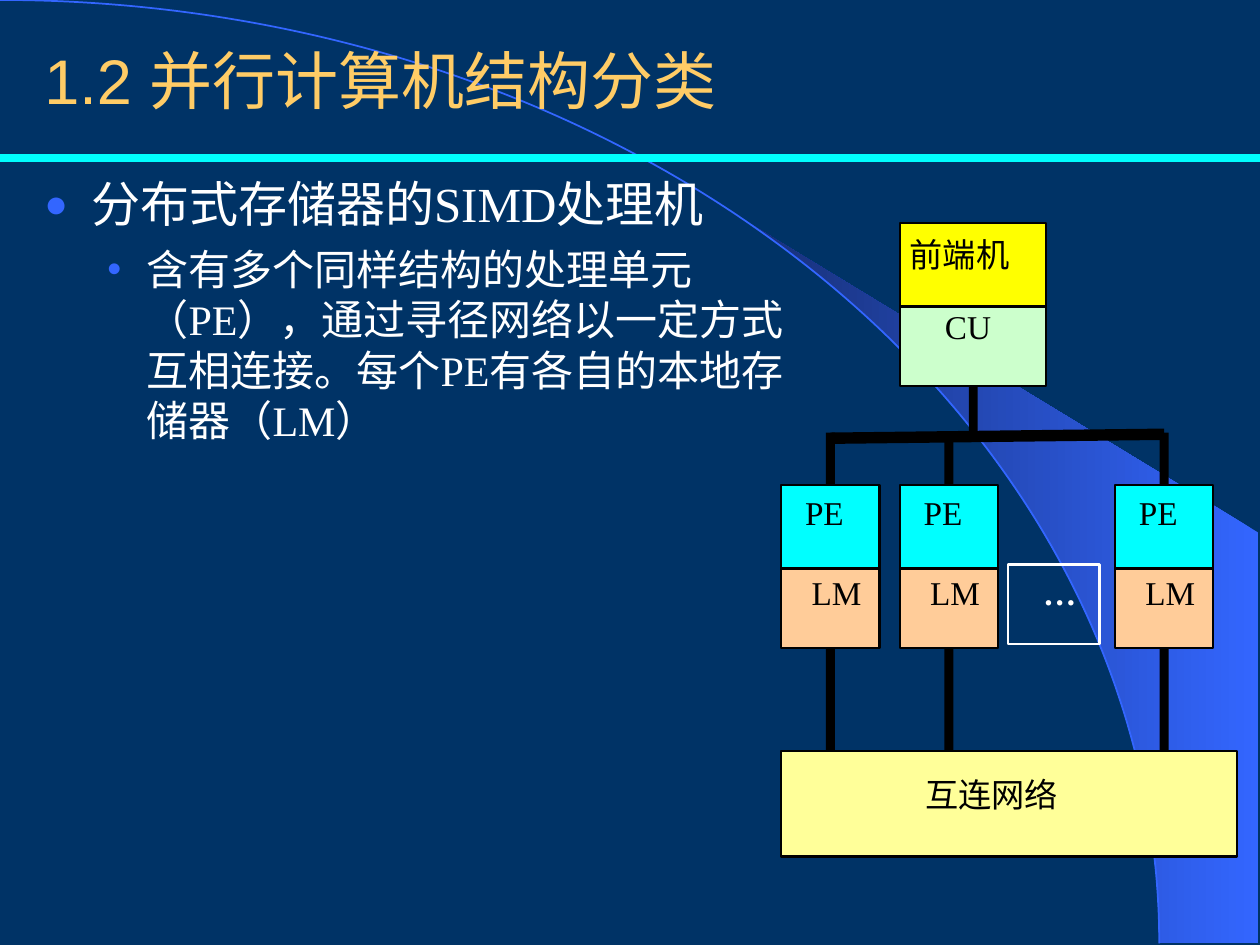
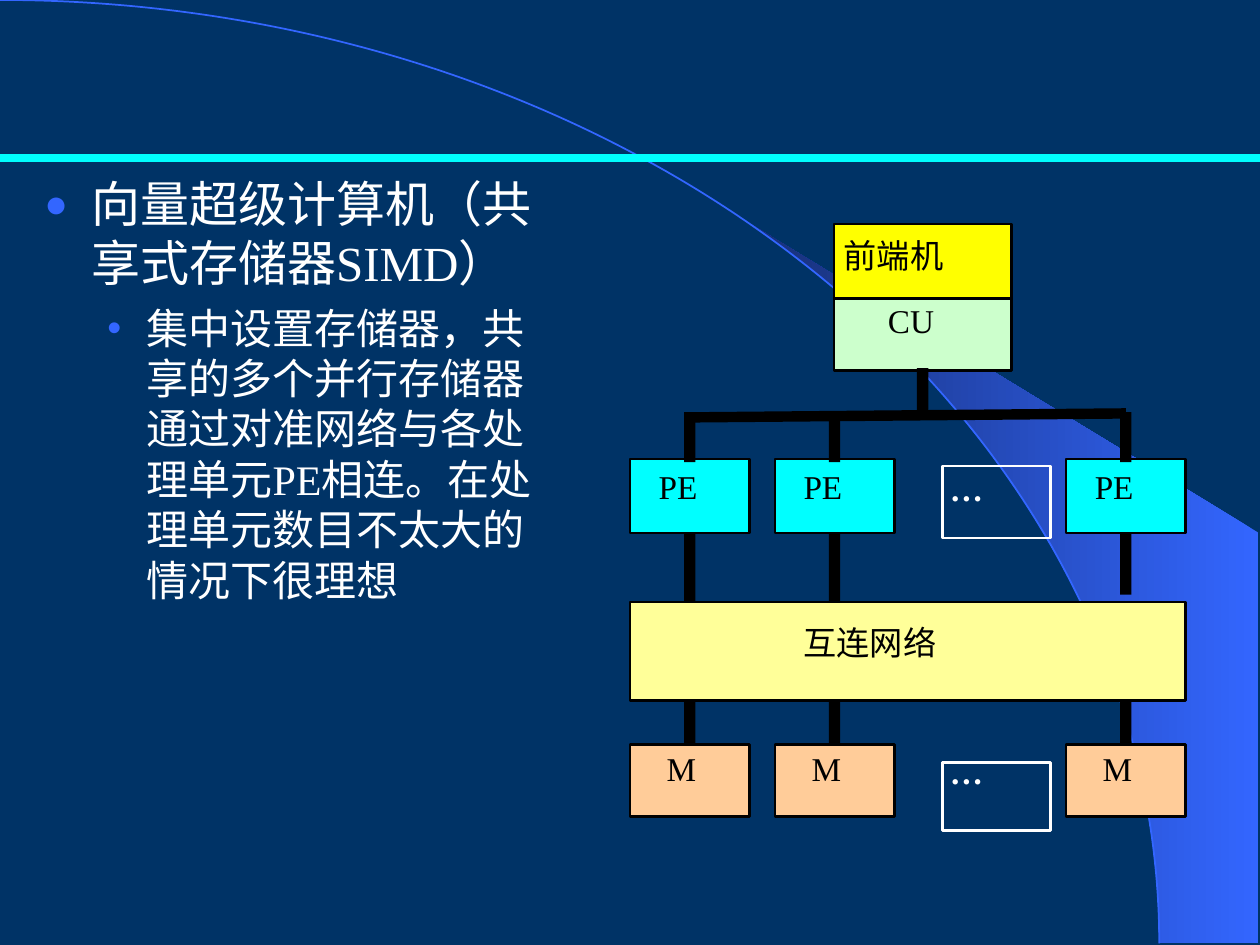
from dataclasses import dataclass
from math import cos, radians, sin

from lxml import etree
from pptx import Presentation
from pptx.dml import color
from pptx.enum import shapes, text
from pptx.oxml import ns
from pptx.util import Cm, Pt

# Shared look
NAVY, BLUE, DEEP_BLUE, CYAN = "003366", "3366FF", "172F75", "00FFFF"
GOLD, WHITE, BLACK = "FFCC66", "FFFFFF", "000000"
YELLOW, MINT, PEACH, CREAM = "FFFF00", "CCFFCC", "FFCC99", "FFFF99"
SANS, SERIF, CJK = "Arial", "Times New Roman", "Noto Sans CJK SC"
SLIDE_W, SLIDE_H = 25.4, 19.05
RULE_Y = 3.18
BORDER = 1.39
LABEL_WIDTHS = {"前端机": 2.1, "互连网络": 2.8, "CU": 0.94, "PE": 0.79,
                "LM": 1.02, "M": 0.61, "…": 0.68}
# Per level: size, space before, left margin, hanging indent, bullet, bullet percent
LEVELS = [(28, 0, 0.95, 0.95, "●", 80), (24, 6, 2.06, 0.79, "•", 95)]


def rgb(value):
    return color.RGBColor.from_string(value)


def write(para, words, size, font, ink, bold=False, east_font=CJK):
    span = para.add_run()
    span.text = words
    span.font.size, span.font.name, span.font.bold = Pt(size), font, bold
    span.font.color.rgb = rgb(ink)
    east_asian = etree.SubElement(span.font._element, ns.qn("a:ea"))
    east_asian.set("typeface", east_font)


def paint(shape, fill=None, line=None, width=BORDER):
    shape.shadow.inherit = False
    if fill:
        shape.fill.solid()
        shape.fill.fore_color.rgb = rgb(fill)
    else:
        shape.fill.background()
    if line:
        shape.line.color.rgb = rgb(line)
        shape.line.width = Pt(width)
    else:
        shape.line.fill.background()


def outline(canvas, points):
    corners = [(Cm(x), Cm(y)) for x, y in points]
    builder = canvas.build_freeform(*corners[0], scale=1.0)
    builder.add_line_segments(corners[1:], close=True)
    return builder.convert_to_shape()


def place(shape, left, top, width, height):
    shape.left, shape.top = Cm(left), Cm(top)
    shape.width, shape.height = Cm(width), Cm(height)


# Backdrop: the swoosh, its arc and the header rule, kept on the master
def add_backdrop(deck, page):
    radius_x, radius_y = 23.37, 19.02
    edge = [(radius_x * cos(radians(a)), radius_y * (1 - sin(radians(a))))
            for a in range(0, 51, 2)]
    right = SLIDE_W - 0.03
    swoosh = outline(page.shapes, edge + [(right, 10.74), (right, radius_y)])
    paint(swoosh)
    swoosh.fill.gradient()
    swoosh.fill.gradient_angle = 180
    for stop, tint in zip(swoosh.fill.gradient_stops, (BLUE, DEEP_BLUE)):
        stop.color.rgb = rgb(tint)

    arc = page.shapes.add_shape(shapes.MSO_SHAPE.ARC, Cm(-radius_x), 0,
                                Cm(2 * radius_x), Cm(2 * radius_y))
    paint(arc, line=BLUE, width=1)

    rule = page.shapes.add_connector(shapes.MSO_CONNECTOR.STRAIGHT, 0, Cm(RULE_Y),
                                     Cm(SLIDE_W), Cm(RULE_Y))
    rule.line.color.rgb = rgb(CYAN)
    rule.line.width = Pt(4.5)
    etree.SubElement(rule.element.spPr, ns.qn("a:effectLst"))

    master = deck.slide_master
    master.background.fill.solid()
    master.background.fill.fore_color.rgb = rgb(NAVY)
    for shape in (swoosh, arc, rule):
        master.shapes.element.append(shape.element)


# Title and bulleted list
def fill_title(page, words):
    title = page.shapes.title
    if not words:
        title.element.getparent().remove(title.element)
        return
    place(title, 0.64, 0.43, 21.59, 2.34)
    frame = title.text_frame
    frame.vertical_anchor = text.MSO_ANCHOR.MIDDLE
    frame.auto_size = text.MSO_AUTO_SIZE.NONE
    frame.paragraphs[0].alignment = text.PP_ALIGN.LEFT
    write(frame.paragraphs[0], words, 36, SANS, GOLD)


def fill_body(page, width, lines):
    body = page.placeholders[1]
    place(body, 0.64, 3.38, width, 14.6)
    frame = body.text_frame
    frame.auto_size = text.MSO_AUTO_SIZE.NONE
    for level, words in enumerate(lines):
        size, before, margin, hang, mark, percent = LEVELS[level]
        para = frame.add_paragraph() if level else frame.paragraphs[0]
        para.level = level
        para.space_before = Pt(before)
        props = para._p.get_or_add_pPr()
        props.set("marL", str(Cm(margin)))
        props.set("indent", str(-Cm(hang)))
        tint = etree.SubElement(props, ns.qn("a:buClr"))
        etree.SubElement(tint, ns.qn("a:srgbClr")).set("val", BLUE)
        etree.SubElement(props, ns.qn("a:buSzPct")).set("val", str(percent * 1000))
        etree.SubElement(props, ns.qn("a:buChar")).set("char", mark)
        write(para, words, size, SERIF, WHITE)


# Diagram: parts are placed from the corner (left, top), in centimetres
@dataclass
class Diagram:
    canvas: object
    left: float
    top: float
    columns: tuple
    cell_width: float
    cell_height: float
    stem: float

    def box(self, x, y, width, height, fill=None, line=None):
        shape = self.canvas.add_shape(
            shapes.MSO_SHAPE.RECTANGLE, Cm(self.left + x), Cm(self.top + y),
            Cm(width), Cm(height))
        paint(shape, fill, line)

    def cell(self, words, x, y, width, height, shift, fill=None):
        ink = BLACK if fill else WHITE
        self.box(x, y, width, height, fill, ink)
        label = self.canvas.add_textbox(
            Cm(self.left + x + shift[0]), Cm(self.top + y + shift[1]),
            Cm(LABEL_WIDTHS[words]), Cm(0.81))
        frame = label.text_frame
        frame.margin_left = frame.margin_right = 0
        frame.margin_top = frame.margin_bottom = 0
        frame.word_wrap = False
        frame.auto_size = text.MSO_AUTO_SIZE.SHAPE_TO_FIT_TEXT
        font = SERIF if words.isascii() or words == "…" else CJK
        write(frame.paragraphs[0], words, 19, font, ink, bold=words == "…",
              east_font=font)

    def row(self, words, y, shift, fill, height=None):
        for x in self.columns:
            self.cell(words, x, y, self.cell_width, height or self.cell_height,
                      shift, fill)

    def centres(self):
        return [x + self.cell_width / 2 for x in self.columns]

    def post(self, centre, start, end):
        self.box(centre - self.stem / 2, start, self.stem, end - start, BLACK)

    def posts(self, start, end, last_end=None):
        ends = [end, end, last_end or end]
        for centre, stop in zip(self.centres(), ends):
            self.post(centre, start, stop)

    def host(self, x, width, control_y, control_shift):
        self.cell("CU", x, control_y, width, self.cell_height, control_shift, MINT)
        self.cell("前端机", x, 0, width, self.cell_height, (0.2, 0.23), YELLOW)

    def bus(self, y, trunk_x, trunk_top, feed_end, thickness):
        slope = 0.08
        self.post(trunk_x, trunk_top, y + 0.15)
        self.posts(y + slope, feed_end)
        start, end = self.left + self.centres()[0], self.left + self.centres()[-1]
        high = self.top + y
        low = high + slope
        bar = outline(self.canvas, [(end, high + thickness), (end, high),
                                    (start, low), (start, low + thickness)])
        paint(bar, BLACK)


def draw_distributed(page, left, top):
    diagram = Diagram(page.shapes.add_group_shape().shapes, left, top,
                      columns=(0, 2.39, 6.73), cell_width=1.98,
                      cell_height=1.68, stem=0.18)
    diagram.cell("…", 4.57, 6.88, 1.85, 1.6, (0.71, 0.15))
    diagram.posts(8.5, 10.64)
    diagram.cell("互连网络", 0, 10.64, 9.19, 2.13, (2.9, 0.46), CREAM)
    diagram.row("LM", 6.88, (0.61, 0.15), PEACH)
    diagram.row("PE", 5.28, (0.48, 0.15), CYAN)
    diagram.host(2.39, 2.95, 1.6, (0.91, 0.08))
    diagram.bus(4.14, trunk_x=3.87, trunk_top=3.28, feed_end=5.28, thickness=0.23)


def draw_shared(page, left, top):
    diagram = Diagram(page.shapes.add_group_shape().shapes, left, top,
                      columns=(0, 2.92, 8.79), cell_width=2.41,
                      cell_height=1.5, stem=0.23)
    diagram.cell("…", 6.3, 4.88, 2.18, 1.45, (0.15, 0.05))
    diagram.cell("…", 6.3, 10.85, 2.18, 1.37, (0.15, -0.23))
    diagram.posts(6.17, 7.62, last_end=7.47)
    diagram.posts(9.53, 10.49)
    diagram.row("M", 10.49, (0.74, 0.08), PEACH, height=1.45)
    diagram.cell("互连网络", 0, 7.62, 11.2, 1.98, (3.5, 0.41), CREAM)
    diagram.row("PE", 4.73, (0.58, 0.15), CYAN)
    diagram.host(4.11, 3.58, 1.45, (1.09, 0.08))
    diagram.bus(3.71, trunk_x=5.9, trunk_top=2.9, feed_end=4.8, thickness=0.21)


def add_page(deck, title, body_width, lines):
    page = deck.slides.add_slide(deck.slide_layouts[1])
    fill_title(page, title)
    fill_body(page, body_width, lines)
    return page


def main():
    deck = Presentation()
    deck.slide_width, deck.slide_height = Cm(SLIDE_W), Cm(SLIDE_H)

    distributed = add_page(deck, "1.2 并行计算机结构分类", 15.67, [
        "分布式存储器的SIMD处理机",
        "含有多个同样结构的处理单元（PE），通过寻径网络以一定方式互相连接。"
        "每个PE有各自的本地存储器（LM）"])
    add_backdrop(deck, distributed)
    draw_distributed(distributed, 15.75, 4.5)

    shared = add_page(deck, None, 11.0, [
        "向量超级计算机（共享式存储器SIMD）",
        "集中设置存储器，共享的多个并行存储器通过对准网络与各处理单元PE相连。"
        "在处理单元数目不太大的情况下很理想"])
    draw_shared(shared, 12.7, 4.52)

    deck.save("out.pptx")


if __name__ == "__main__":
    main()
